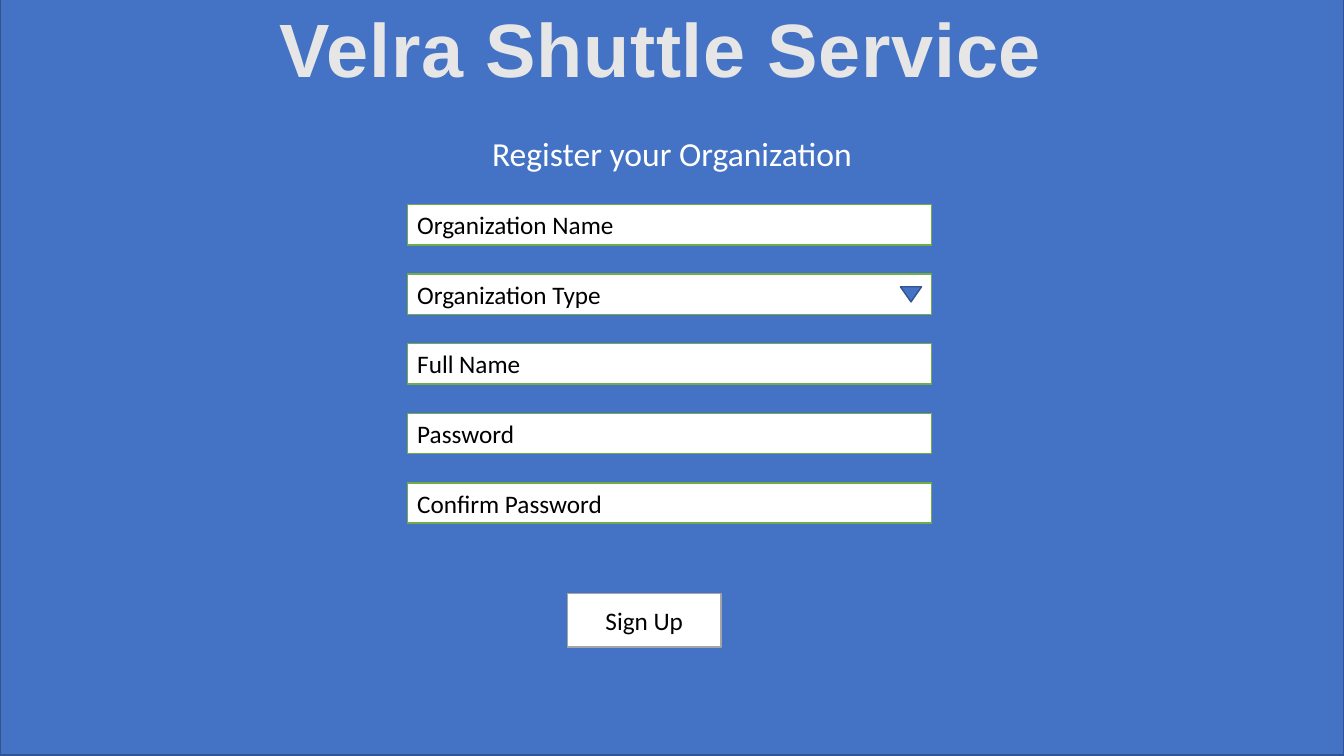
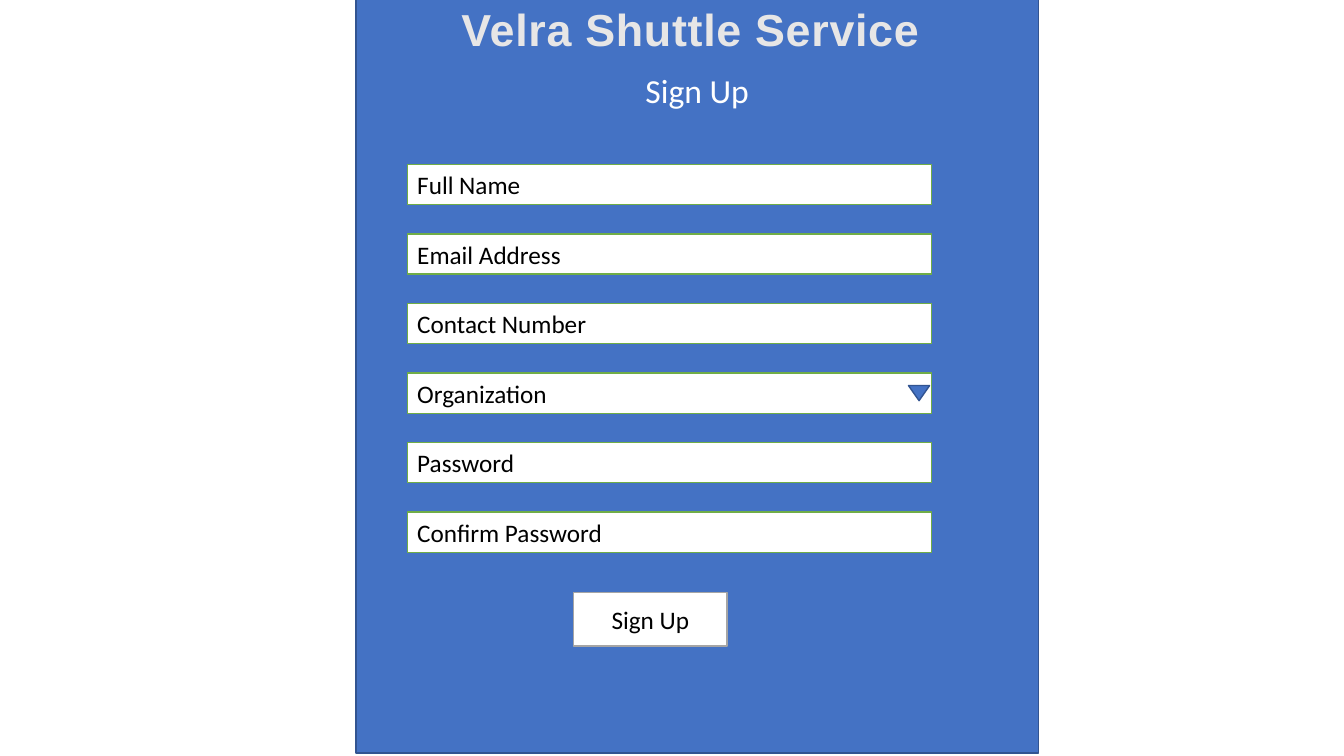
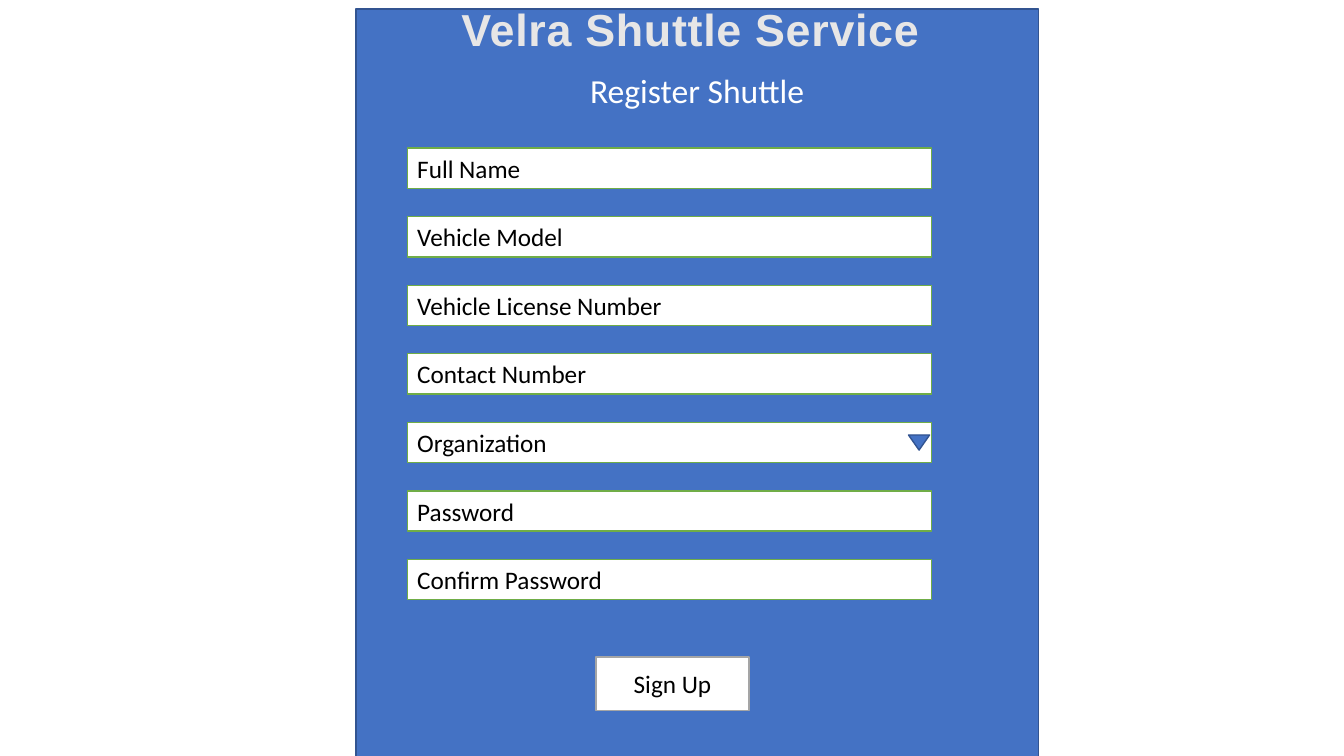
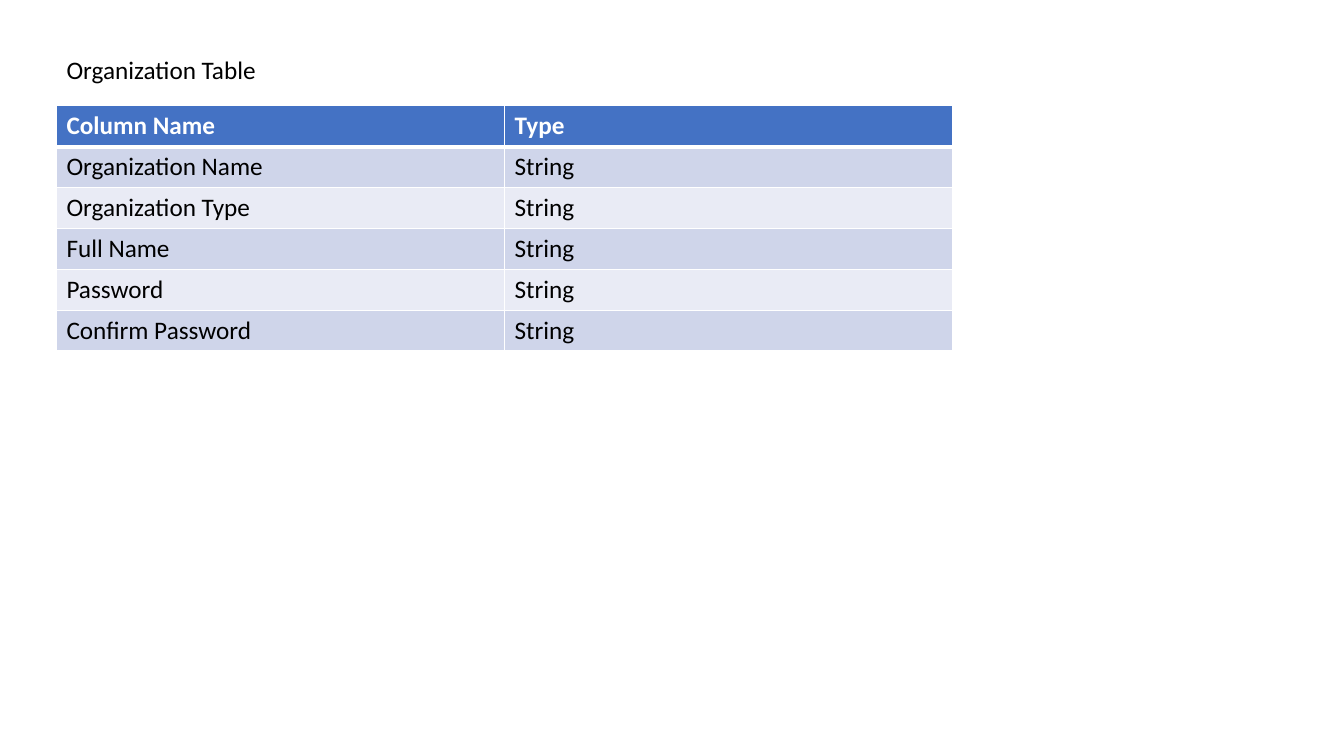
from typing import NamedTuple

from lxml import etree
from pptx import Presentation
from pptx.dml.color import RGBColor
from pptx.enum.shapes import MSO_SHAPE
from pptx.enum.text import MSO_ANCHOR, MSO_AUTO_SIZE, PP_ALIGN
from pptx.oxml.ns import qn
from pptx.util import Inches, Pt

RECT, TRIANGLE = MSO_SHAPE.RECTANGLE, MSO_SHAPE.ISOSCELES_TRIANGLE
LEFT, CENTER = PP_ALIGN.LEFT, PP_ALIGN.CENTER
TOP, MIDDLE = MSO_ANCHOR.TOP, MSO_ANCHOR.MIDDLE
NO_FIT = MSO_AUTO_SIZE.NONE

BLUE = RGBColor(0x44, 0x72, 0xC4)
NAVY = RGBColor(0x32, 0x54, 0x91)
GREEN = RGBColor(0x70, 0xAD, 0x47)
GRAY = RGBColor(0xA5, 0xA5, 0xA5)
SILVER = RGBColor(0xE7, 0xE6, 0xE6)
WHITE = RGBColor(0xFF, 0xFF, 0xFF)
BLACK = RGBColor(0, 0, 0)
BANDS = (RGBColor(0xE9, 0xEB, 0xF5), RGBColor(0xCF, 0xD5, 0xEA))

SLIDE_W, SLIDE_H = 13.33, 7.5
TITLE_ONLY = 5
SERVICE = "Velra Shuttle Service "
FIELD_LEFT, FIELD_W, FIELD_H = 4.04, 5.2, 0.4
ARROW_W, ARROW_H = 0.21, 0.15
BUTTON_W, BUTTON_H = 1.52, 0.53


class Box(NamedTuple):
    left: float
    top: float
    width: float
    height: float

    def emu(self):
        return [Inches(v) for v in self]


def style(tf, text, size, color, align=LEFT, font="Calibri", bold=False):
    tf.text = text
    p = tf.paragraphs[0]
    p.alignment = align
    r = p.runs[0]
    r.font.name, r.font.size, r.font.bold = font, Pt(size), bold
    r.font.color.rgb = color
    return r


def add_block(slide, box, fill, line, kind=RECT):
    sp = slide.shapes.add_shape(kind, *box.emu())
    sp.shadow.inherit = False
    sp.fill.solid()
    sp.fill.fore_color.rgb = fill
    sp.line.color.rgb = line
    sp.line.width = Pt(1)
    return sp


def add_input(slide, box, text, line, align=LEFT):
    sp = add_block(slide, box, WHITE, line)
    sp.text_frame.vertical_anchor = MIDDLE
    style(sp.text_frame, text, 18, BLACK, align)


def add_arrow(slide, field, inset):
    left = field.left + field.width - inset - ARROW_W
    top = field.top + (field.height - ARROW_H) / 2
    sp = add_block(slide, Box(left, top, ARROW_W, ARROW_H), BLUE, NAVY, TRIANGLE)
    sp.rotation = 180


def set_title(slide, box, text, size, color, **look):
    title = slide.shapes.title
    title.left, title.top, title.width, title.height = box.emu()
    tf = title.text_frame
    tf.word_wrap = True
    tf.auto_size = NO_FIT
    tf.vertical_anchor = TOP
    return style(tf, text, size, color, **look)


def add_heading(slide, box, text):
    tf = slide.shapes.add_textbox(*box.emu()).text_frame
    tf.word_wrap = True
    style(tf, text, 24, WHITE, CENTER)


def add_fields(slide, labels, top, pitch, dropdown, inset):
    for i, label in enumerate(labels):
        field = Box(FIELD_LEFT, top + i * pitch, FIELD_W, FIELD_H)
        add_input(slide, field, label, GREEN)
        if label == dropdown:
            add_arrow(slide, field, inset)


def form_slide(prs, panel, title_h, title_size, heading, heading_top, labels,
               top, pitch, dropdown, inset, button_at):
    slide = prs.slides.add_slide(prs.slide_layouts[TITLE_ONLY])
    backdrop = add_block(slide, panel, BLUE, NAVY)
    slide.shapes.title.element.addprevious(backdrop.element)
    r = set_title(slide, Box(panel.left, -0.03, panel.width, title_h), SERVICE,
                  title_size, SILVER, align=CENTER, font="Arial", bold=True)
    r.font.element.set("spc", "50") if hasattr(r.font, "element") else r._r.get_or_add_rPr().set("spc", "50")
    add_heading(slide, Box(panel.left, heading_top, panel.width, 0.5), heading)
    add_fields(slide, labels, top, pitch, dropdown, inset)
    add_input(slide, Box(*button_at, BUTTON_W, BUTTON_H), "Sign Up", GRAY, CENTER)


def set_borders(cell, bottom):
    tc_pr = cell._tc.get_or_add_tcPr()
    for side, width in (("L", 1), ("R", 1), ("T", 1), ("B", bottom)):
        ln = etree.SubElement(tc_pr, qn("a:ln" + side), w=str(Pt(width)))
        fill = etree.SubElement(ln, qn("a:solidFill"))
        etree.SubElement(fill, qn("a:srgbClr"), val=str(WHITE))


def table_slide(prs, box, title, rows):
    slide = prs.slides.add_slide(prs.slide_layouts[TITLE_ONLY])
    set_title(slide, Box(box.left, box.top - 0.56, 2.55, 0.4), title, 18, BLACK)
    table = slide.shapes.add_table(len(rows), len(rows[0]), *box.emu()).table
    for i, row in enumerate(rows):
        header = i == 0
        for j, text in enumerate(row):
            cell = table.cell(i, j)
            set_borders(cell, 3 if header else 1)
            cell.fill.solid()
            cell.fill.fore_color.rgb = BLUE if header else BANDS[i % 2]
            style(cell.text_frame, text, 18, WHITE if header else BLACK, bold=header)


ORGANIZATION = ["Organization Name", "Organization Type", "Full Name",
                "Password", "Confirm Password"]
USER = ["Full Name", "Email Address", "Contact Number", "Organization",
        "Password", "Confirm Password"]
SHUTTLE = ["Full Name", "Vehicle Model", "Vehicle License Number",
           "Contact Number", "Organization", "Password", "Confirm Password"]

prs = Presentation()
prs.slide_width, prs.slide_height = Inches(SLIDE_W), Inches(SLIDE_H)

form_slide(prs, Box(0, -0.01, SLIDE_W, SLIDE_H), 1.01, 54,
           "Register your Organization", 1.27, ORGANIZATION, 2.03, 0.69,
           "Organization Type", 0.1, (5.63, 5.89))
form_slide(prs, Box(3.53, -0.03, 6.77, SLIDE_H), 0.64, 32,
           "Sign Up", 0.64, USER, 1.63, 0.69,
           "Organization", 0.02, (5.69, 5.88))
form_slide(prs, Box(3.53, 0.09, 6.77, SLIDE_H), 0.64, 32,
           "Register Shuttle", 0.64, SHUTTLE, 1.47, 0.68,
           "Organization", 0.02, (5.91, 6.52))
table_slide(prs, Box(0.56, 1.05, 8.89, 2.43), "Organization Table",
            [("Column Name", "Type")] + [(name, "String") for name in ORGANIZATION])

prs.save("out.pptx")
